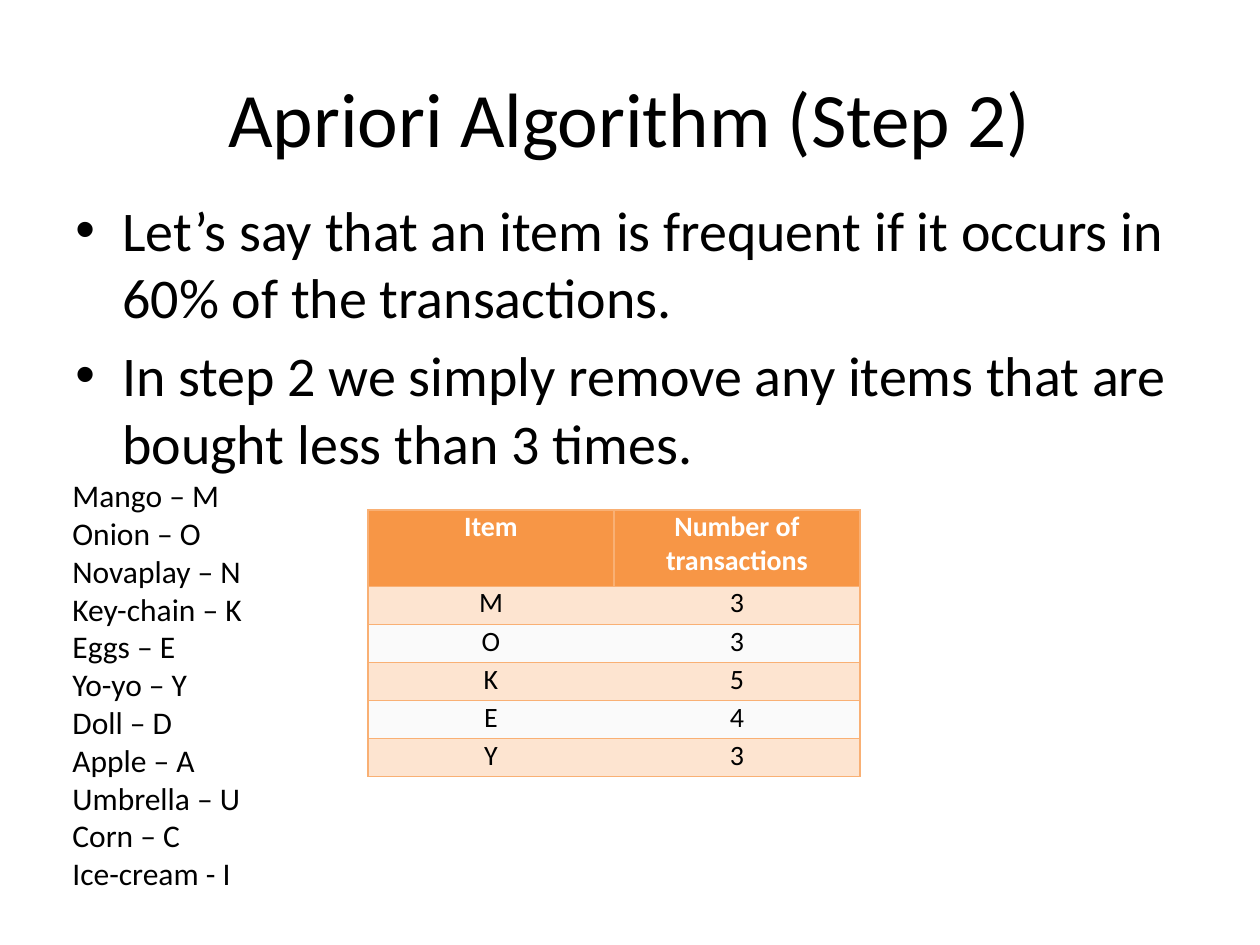
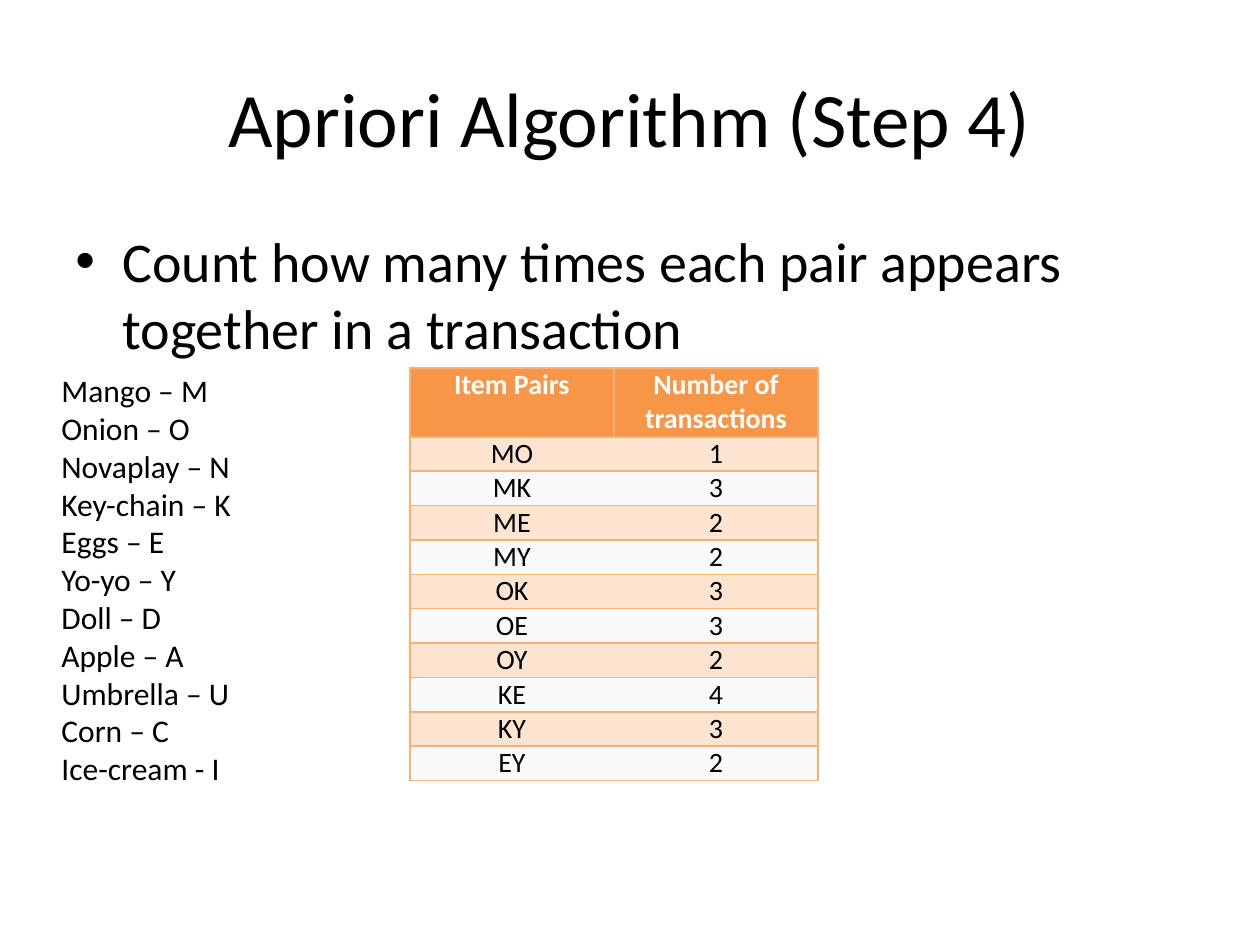
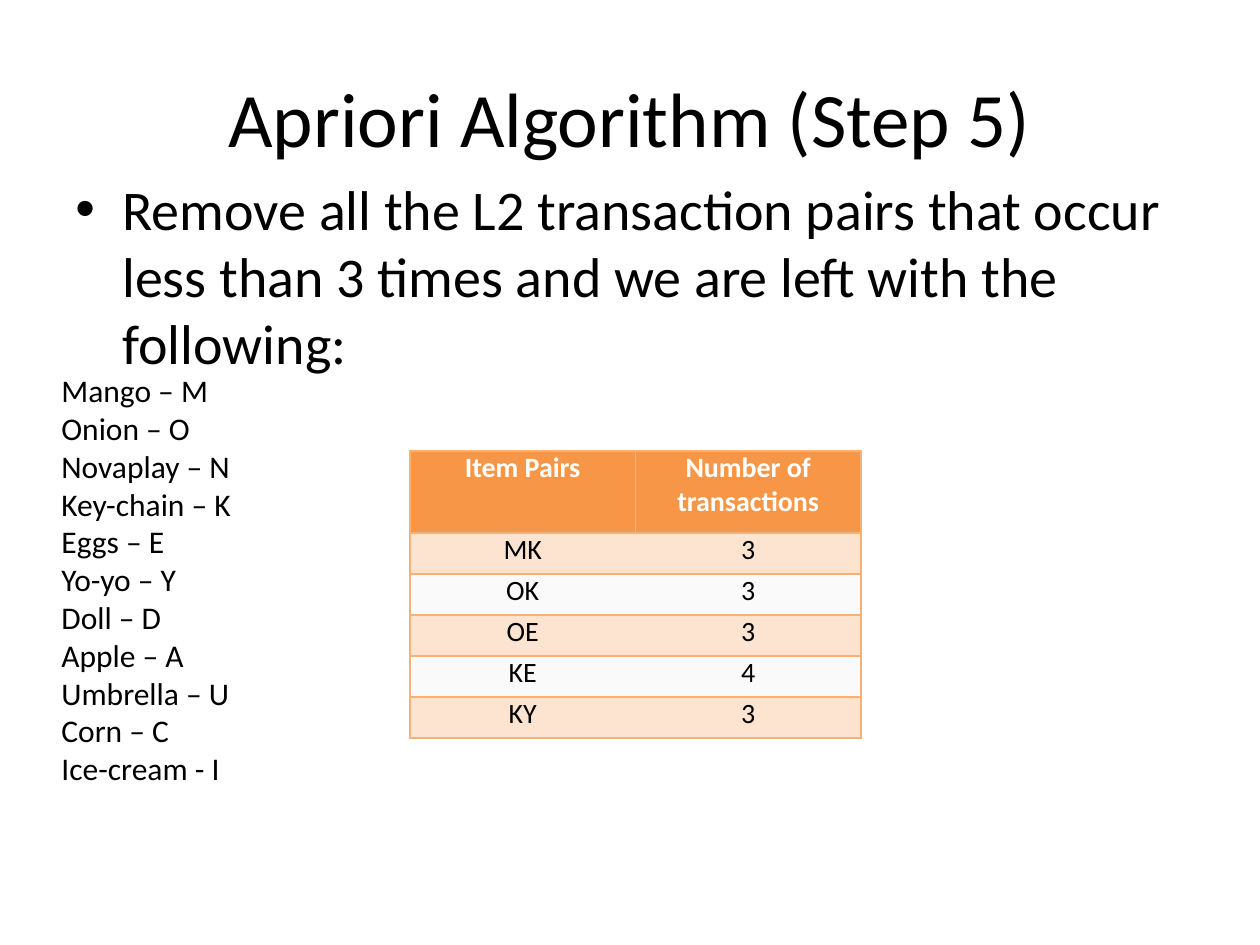
import dataclasses

import pptx
import pptx.dml.color
import pptx.enum.text
import pptx.oxml.ns
import pptx.oxml.xmlchemy
import pptx.util
import lxml.etree

EMU_PER_PX = 914400 / 126
ALIGN = pptx.enum.text.PP_ALIGN
ANCHOR = pptx.enum.text.MSO_ANCHOR
AUTO_SIZE = pptx.enum.text.MSO_AUTO_SIZE


@dataclasses.dataclass(frozen=True)
class Theme:
    font: str = "Calibri"
    bullet_font: str = "Arial"
    text: str = "000000"
    header_text: str = "FFFFFF"
    header_fill: str = "F79646"
    band_fills: tuple = ("FDE4D0", "FAFAFA")
    border: str = "F9B074"
    title_size: int = 44
    body_size: int = 32
    legend_size: int = 18
    table_size: int = 16
    border_width: int = 1


LEGEND = [
    "Mango – M", "Onion – O", "Novaplay – N", "Key-chain – K",
    "Eggs – E", "Yo-yo – Y", "Doll – D", "Apple – A",
    "Umbrella – U", "Corn – C", "Ice-cream - I",
]


def px(length):
    return pptx.util.Emu(round(length * EMU_PER_PX))


def rgb(color):
    return pptx.dml.color.RGBColor.from_string(color)


def add_element(parent, tag, **attributes):
    return lxml.etree.SubElement(parent, pptx.oxml.ns.qn(tag), attributes)


class Deck:
    def __init__(self, theme):
        self.theme = theme
        self.presentation = pptx.Presentation()
        self.presentation.slide_width = px(1260)
        self.presentation.slide_height = px(945)
        self.slide = None

    def add_run(self, paragraph, text, size, color=None, bold=False):
        run = paragraph.add_run()
        run.text = text
        run.font.name = self.theme.font
        run.font.size = pptx.util.Pt(size)
        run.font.bold = bold
        run.font.color.rgb = rgb(color or self.theme.text)

    def add_slide(self, title):
        layout = self.presentation.slide_layouts[5]
        self.slide = self.presentation.slides.add_slide(layout)
        shape = self.slide.shapes.title
        shape.left, shape.top, shape.width, shape.height = map(px, (63, 38, 1134, 157))
        shape.text_frame.vertical_anchor = ANCHOR.MIDDLE
        paragraph = shape.text_frame.paragraphs[0]
        paragraph.alignment = ALIGN.CENTER
        self.add_run(paragraph, title, self.theme.title_size)

    def add_text(self, box, lines, size, wrap):
        shape = self.slide.shapes.add_textbox(*map(px, box))
        frame = shape.text_frame
        frame.word_wrap = wrap
        for index, line in enumerate(lines):
            paragraph = frame.add_paragraph() if index else frame.paragraphs[0]
            self.add_run(paragraph, line, size)
        return frame

    def add_bullets(self, top, lines):
        size = self.theme.body_size
        frame = self.add_text((63, top, 1134, 624), lines, size, True)
        for paragraph in frame.paragraphs:
            paragraph.space_before = pptx.util.Pt(size * 0.2)
            properties = paragraph._p.get_or_add_pPr()
            properties.set("marL", str(px(47)))
            properties.set("indent", str(px(-47)))
            add_element(properties, "a:buFont", typeface=self.theme.bullet_font)
            add_element(properties, "a:buChar", char="•")

    def add_legend(self, left, top):
        frame = self.add_text((left, top, 223, 432), LEGEND, self.theme.legend_size, False)
        frame.auto_size = AUTO_SIZE.SHAPE_TO_FIT_TEXT

    def set_borders(self, cell, visible_sides):
        properties = cell._tc.get_or_add_tcPr()
        for index, side in enumerate("LRTB"):
            width = str(pptx.util.Pt(self.theme.border_width))
            line = add_element(properties, f"a:ln{side}", w=width)
            properties.insert(index, line)
            if side in visible_sides:
                fill = add_element(line, "a:solidFill")
                add_element(fill, "a:srgbClr", val=self.theme.border)
            else:
                add_element(line, "a:noFill")

    def format_cell(self, cell, text, row, sides):
        header = row == 0
        theme = self.theme
        cell.margin_left = cell.margin_right = px(9)
        cell.margin_top = cell.margin_bottom = 0
        cell.fill.solid()
        cell.fill.fore_color.rgb = rgb(
            theme.header_fill if header else theme.band_fills[(row - 1) % 2])
        paragraph = cell.text_frame.paragraphs[0]
        paragraph.alignment = ALIGN.CENTER
        color = theme.header_text if header else theme.text
        self.add_run(paragraph, text, theme.table_size, color, header)
        self.set_borders(cell, sides)

    def add_count_table(self, box, item_heading, counts):
        rows = [(item_heading, "Number of transactions"), *counts.items()]
        shape = self.slide.shapes.add_table(len(rows), 2, *map(px, box))
        table = shape.table
        table.first_row = table.horz_banding = False
        unit = px(box[3] / (len(rows) + 1))
        for row, values in enumerate(rows):
            table.rows[row].height = unit if row else 2 * unit
            for column, value in enumerate(values):
                sides = "LRTB" if row == 0 else ("LTB", "RTB")[column]
                self.format_cell(table.cell(row, column), str(value), row, sides)


def main():
    deck = Deck(Theme())

    deck.add_slide("Apriori Algorithm (Step 2)")
    deck.add_bullets(189, [
        "Let’s say that an item is frequent if it occurs in 60% of the transactions.",
        "In step 2 we simply remove any items that are bought less than 3 times.",
    ])
    deck.add_count_table((368, 510, 492, 267), "Item",
                         {"M": 3, "O": 3, "K": 5, "E": 4, "Y": 3})
    deck.add_legend(60, 470)

    pair_counts = {"MO": 1, "MK": 3, "ME": 2, "MY": 2, "OK": 3,
                   "OE": 3, "OY": 2, "KE": 4, "KY": 3, "EY": 2}
    deck.add_slide("Apriori Algorithm (Step 4)")
    deck.add_bullets(220, [
        "Count how many times each pair appears together in a transaction",
    ])
    deck.add_count_table((410, 368, 408, 413), "Item Pairs", pair_counts)
    deck.add_legend(49, 365)

    frequent_pairs = {pair: count for pair, count in pair_counts.items() if count >= 3}
    deck.add_slide("Apriori Algorithm (Step 5)")
    deck.add_bullets(168, [
        "Remove all the L2 transaction pairs that occur less than 3 times "
        "and we are left with the following:",
    ])
    deck.add_count_table((410, 451, 451, 287), "Item Pairs", frequent_pairs)
    deck.add_legend(49, 365)

    deck.presentation.save("out.pptx")


if __name__ == "__main__":
    main()
